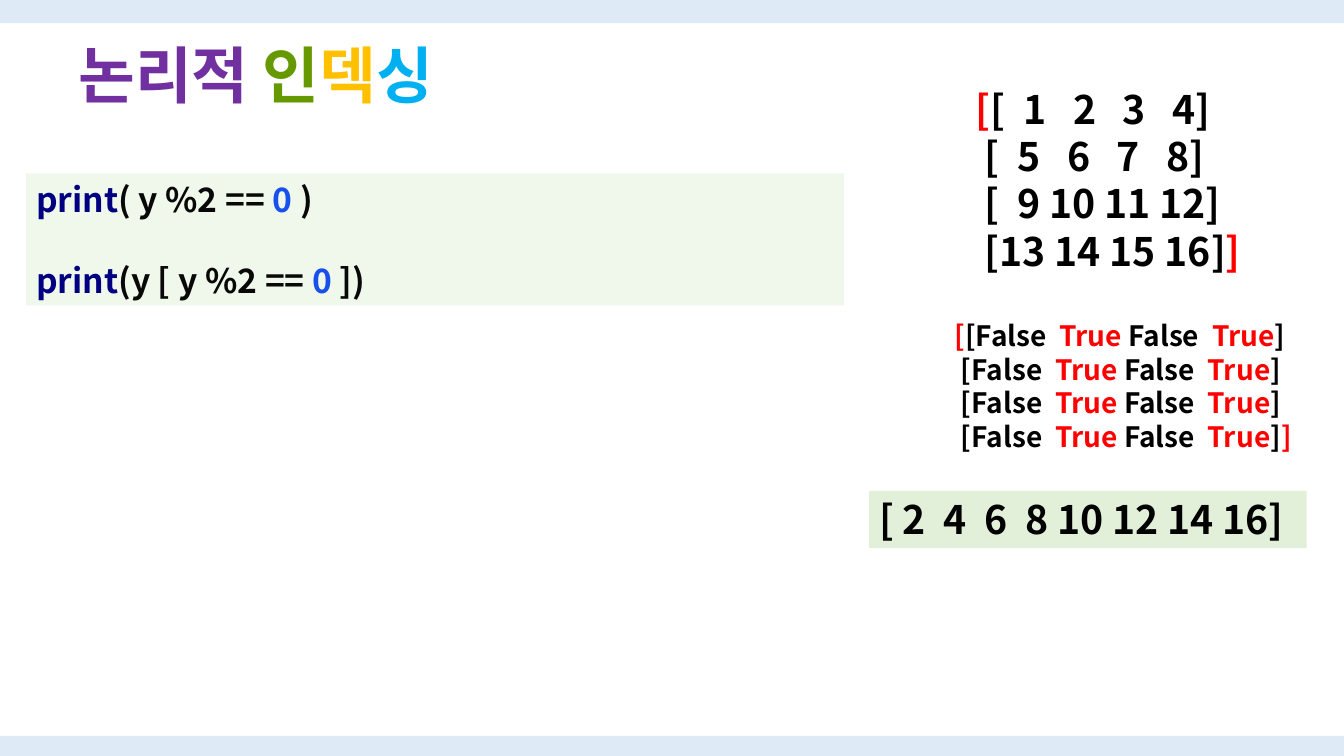
from pptx import Presentation
from pptx.dml.color import RGBColor as Rgb
from pptx.enum.shapes import MSO_SHAPE as Preset
from pptx.enum.text import MSO_ANCHOR as Anchor, MSO_AUTO_SIZE as Fit, PP_ALIGN as Align
from pptx.oxml.ns import qn
from pptx.util import Inches, Pt
from lxml.etree import SubElement

WIDTH, HEIGHT = Inches(13.33), Inches(7.5)
FONT = "Noto Sans CJK KR"
COLORS = {
    "band": "DEEBF7", "mint": "E2F0D9", "black": "000000", "red": "FF0000",
    "keyword": "000080", "code": "080808", "number": "1750EB",
    "purple": "7030A0", "green": "669900", "amber": "FFC000", "sky": "00B0F0",
}


def color(name):
    """Return the named palette colour."""
    return Rgb.from_string(COLORS[name])


def place(left, top, width, height):
    """Turn percentages of the slide into lengths."""
    return (int(WIDTH * left / 100), int(HEIGHT * top / 100),
            int(WIDTH * width / 100), int(HEIGHT * height / 100))


def add_panel(page, area, fill, opacity=100):
    """Add a borderless filled rectangle."""
    box = page.shapes.add_shape(Preset.RECTANGLE, *place(*area))
    box.shadow.inherit = False
    box.fill.solid()
    box.fill.fore_color.rgb = color(fill)
    box.line.fill.background()
    if opacity < 100:
        tint = box.element.spPr.find(".//" + qn("a:srgbClr"))
        SubElement(tint, qn("a:alpha")).set("val", str(opacity * 1000))
    return box


def add_label(page, area):
    """Add an empty text box."""
    return page.shapes.add_textbox(*place(*area))


def write(box, lines, size, frame_format=None, para_format=None):
    """Write lines of (text, colour) spans into a box."""
    frame = box.text_frame
    settings = {"word_wrap": True, "auto_size": Fit.SHAPE_TO_FIT_TEXT,
                "vertical_anchor": Anchor.TOP, **(frame_format or {})}
    for name, value in settings.items():
        setattr(frame, name, value)
    for index, spans in enumerate(lines):
        para = frame.add_paragraph() if index else frame.paragraphs[0]
        for name, value in {"alignment": Align.LEFT, **(para_format or {})}.items():
            setattr(para, name, value)
        for text, shade in spans:
            span = para.add_run()
            span.text = text
            for name, value in {"size": Pt(size), "bold": True, "name": FONT}.items():
                setattr(span.font, name, value)
            span.font.color.rgb = color(shade)
            SubElement(span.font._element, qn("a:ea")).set("typeface", FONT)


def bracketed(rows):
    """Enclose rows of spans in red outer brackets."""
    lines = [[(" ", "black"), *row] for row in rows]
    lines[0][0] = ("[", "red")
    lines[-1].append(("]", "red"))
    return lines


def main():
    """Build the logical indexing slide."""
    deck = Presentation()
    deck.slide_width, deck.slide_height = WIDTH, HEIGHT
    page = deck.slides.add_slide(deck.slide_layouts[6])

    for top, height in ((0, 3.07), (97.33, 2.67)):
        add_panel(page, (0, top, 100, height), "band")

    numbers = ("[  1   2   3   4]", "[  5   6   7   8]",
               "[  9 10 11 12]", "[13 14 15 16]")
    write(add_label(page, (71.87, 10.67, 23.33, 26.53)),
          bracketed([[(row, "black")] for row in numbers]), 28)

    code = [[("print", "keyword"), (f"{start} y %2 == ", "code"),
             ("0 ", "number"), (end, "code")]
            for start, end in (("(", ")"), ("(y [", "])"))]
    code_box = add_panel(page, (1.95, 22.93, 60.84, 17.47), "mint", 50)
    write(code_box, code, 24, {"vertical_anchor": Anchor.MIDDLE})
    code_box.text_frame.paragraphs[1].space_before = Pt(28.8)

    mask = [("[False  ", "black"), ("True", "red"), (" False  ", "black"),
            ("True", "red"), ("]", "black")]
    write(add_label(page, (70.29, 41.47, 26.56, 19.33)), bracketed([mask] * 4), 20)

    write(add_panel(page, (64.67, 64.93, 32.56, 7.6), "mint"),
          [[("[ 2  4  6  8 10 12 14 16]", "black")]], 28, {"word_wrap": False})

    title = [("논리적 ", "purple"), ("인", "green"), ("덱", "amber"), ("싱", "sky")]
    write(add_label(page, (5.1, 5.33, 84.25, 13.87)), [title], 44,
          {"auto_size": Fit.NONE}, {"line_spacing": 0.9})

    deck.save("out.pptx")


if __name__ == "__main__":
    main()
